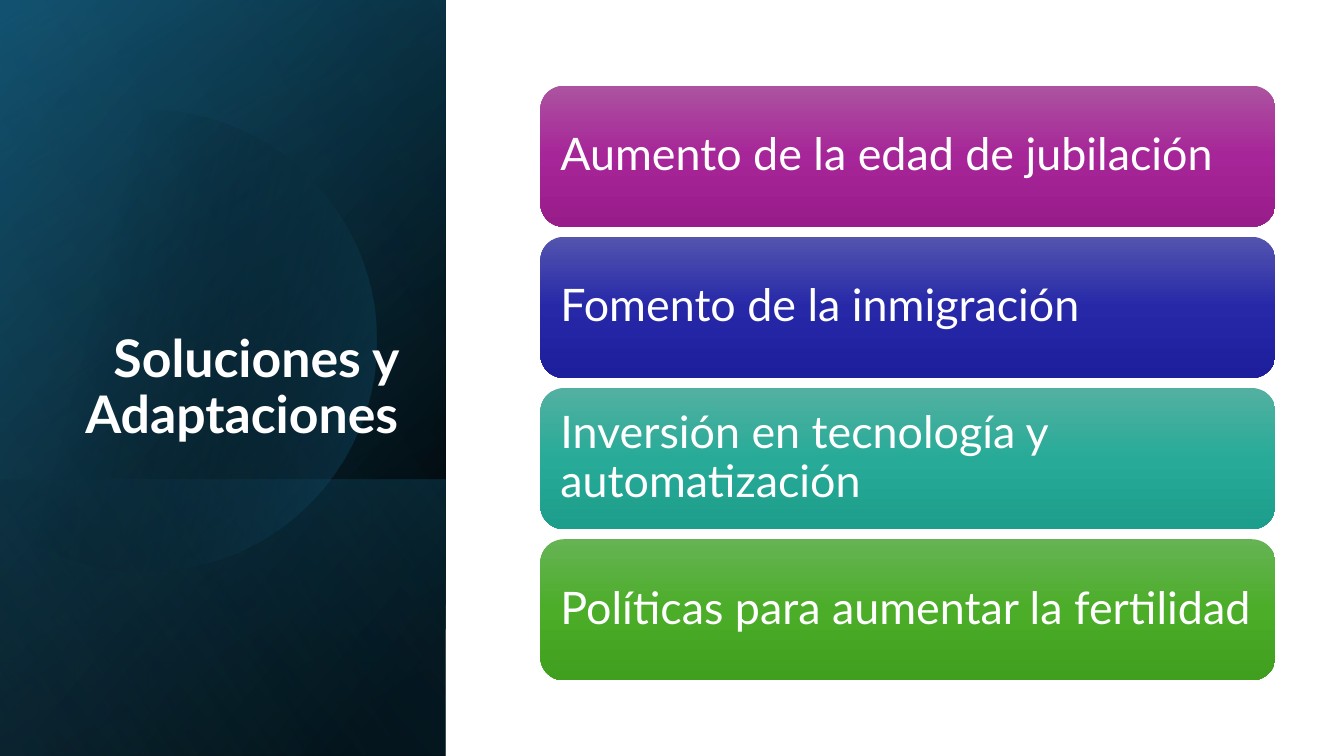
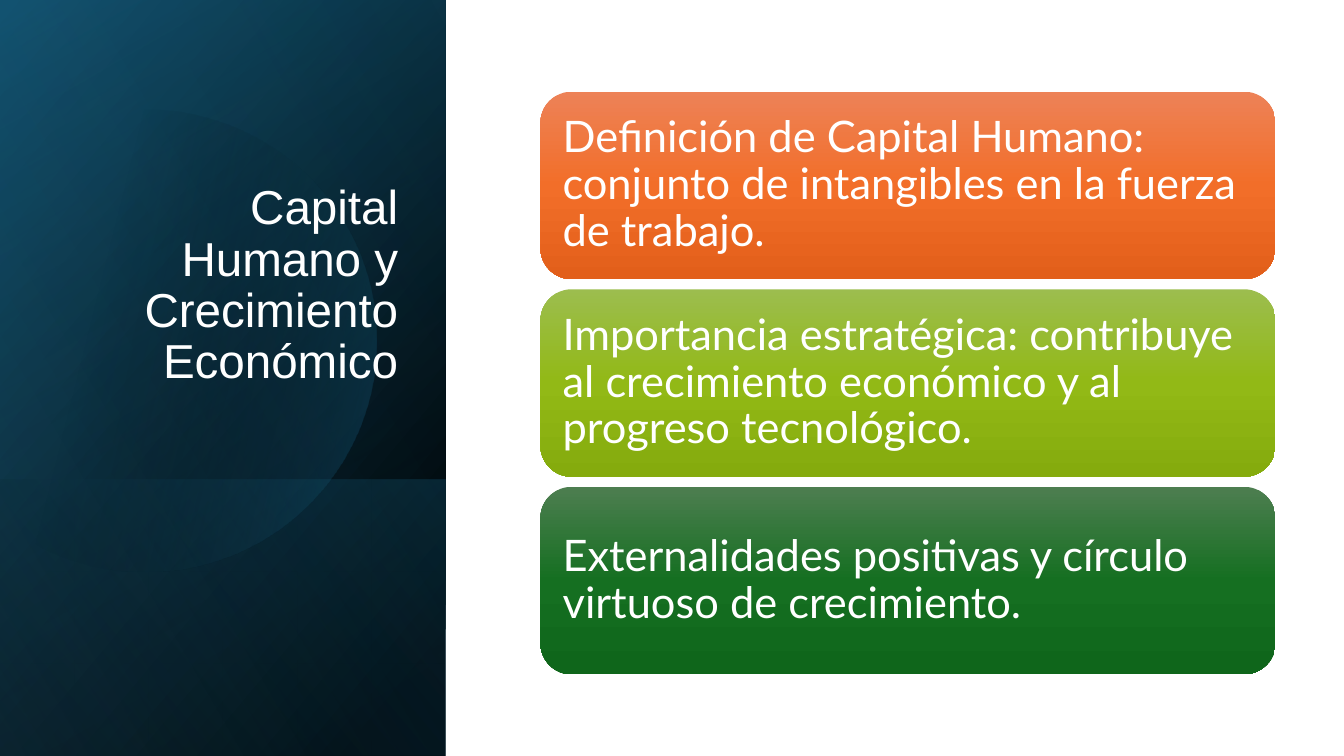
from math import acos, cos, pi, sin

from lxml import etree
from pptx import Presentation
from pptx.dml.color import RGBColor
from pptx.enum.shapes import MSO_SHAPE
from pptx.enum.text import MSO_ANCHOR, MSO_AUTO_SIZE, PP_ALIGN
from pptx.oxml.ns import qn
from pptx.util import Inches, Pt

RECTANGLE, ROUNDED = MSO_SHAPE.RECTANGLE, MSO_SHAPE.ROUNDED_RECTANGLE
LEFT, RIGHT = PP_ALIGN.LEFT, PP_ALIGN.RIGHT
MIDDLE, BOTTOM = MSO_ANCHOR.MIDDLE, MSO_ANCHOR.BOTTOM
NO_AUTOFIT = MSO_AUTO_SIZE.NONE

SLIDE_W, SLIDE_H = 13.33, 7.5
PANEL_W = 4.42
LOWER_H = 2.74
TITLE_BOX = (0.64, 1.84, 3.41, 2.62)
CARD_X, CARD_W, CARD_GAP, CARDS_MIDDLE = 5.36, 7.29, 0.1, 3.8
DISC_X, DISC_Y, DISC_R = 1.44, 3.38, 2.29
WHITE = "FFFFFF"

# Stops are (position %, colour, opacity %)
PANEL_BASE = [(8, "000000", 100), (100, "104862", 100)]
PANEL_SHADE = [(0, "000000", 0), (99, "156082", 46)]
LOWER_SHADE = [(2, "156082", 29), (100, "000000", 30)]
DISC_SHADE = [(29, "000000", 0), (100, "156082", 43)]
PANEL_GLOW = [(0, "000000", 0), (99, "46B1E1", 11)]

SOLUTIONS = [
    ("Aumento de la edad de jubilación", ("AC53A0", "A62598", "991C8B")),
    ("Fomento de la inmigración", ("5354AE", "2628A8", "1D1E9B")),
    ("Inversión en tecnología y automatización", ("53B0A1", "27AB98", "1D9D8B")),
    ("Políticas para aumentar la fertilidad", ("66B354", "4BAD28", "409F1E")),
]
HUMAN_CAPITAL = [
    ("Definición de Capital Humano: conjunto de intangibles en la fuerza de trabajo.",
     ("ED8257", "F26E29", "E25F1A")),
    ("Importancia estratégica: contribuye al crecimiento económico y al progreso tecnológico.",
     ("9CBD4E", "92B916", "85AB0D")),
    ("Externalidades positivas y círculo virtuoso de crecimiento.",
     ("4D7E50", "156F21", "0F661B")),
]


def inches(*lengths):
    return [Inches(length) for length in lengths]


def paint(shape, stops, angle):
    """Fill with a gradient whose angle runs clockwise in the shape's own frame."""
    shape.shadow.inherit = False
    shape.line.fill.background()
    shape.fill.gradient()
    gradient = shape.element.spPr.find(qn("a:gradFill"))
    stop_list = gradient.find(qn("a:gsLst"))
    for old_stop in list(stop_list):
        stop_list.remove(old_stop)
    for position, color, opacity in stops:
        stop = etree.SubElement(stop_list, qn("a:gs"), pos=str(position * 1000))
        tint = etree.SubElement(stop, qn("a:srgbClr"), val=color)
        if opacity < 100:
            etree.SubElement(tint, qn("a:alpha"), val=str(opacity * 1000))
    gradient.find(qn("a:lin")).set("ang", str(angle * 60000))


def write(frame, text, size, font, align, anchor, bold=False):
    frame.text = text
    frame.word_wrap = True
    frame.auto_size = NO_AUTOFIT
    frame.vertical_anchor = anchor
    paragraph = frame.paragraphs[0]
    paragraph.alignment = align
    paragraph.line_spacing = 0.9
    style = paragraph.runs[0].font
    style.name, style.size, style.bold = font, Pt(size), bold
    style.color.rgb = RGBColor.from_string(WHITE)


def add_panel_layer(slide, height, stops, angle):
    """Add a turned, mirrored rectangle covering the panel up from the slide's foot."""
    center_x, center_y = PANEL_W / 2, SLIDE_H - height / 2
    layer = slide.shapes.add_shape(
        RECTANGLE, *inches(center_x - height / 2, center_y - PANEL_W / 2, height, PANEL_W))
    layer.rotation = 90
    layer.element.spPr.get_or_add_xfrm().set("flipH", "1")
    paint(layer, stops, angle)


def add_disc(slide, steps=90):
    """Add a disc cut off at the slide's left edge."""
    reach = acos(-DISC_X / DISC_R)
    turns = [reach * (2 * step / steps - 1) for step in range(steps + 1)]
    points = [inches(DISC_X + DISC_R * cos(turn), DISC_Y + DISC_R * sin(turn))
              for turn in turns]
    builder = slide.shapes.build_freeform(*points[0])
    builder.add_line_segments(points[1:], close=True)
    paint(builder.convert_to_shape(), DISC_SHADE, 14)


def add_panel(slide):
    add_panel_layer(slide, SLIDE_H, PANEL_BASE, 50)
    add_panel_layer(slide, SLIDE_H, PANEL_SHADE, 30)
    add_panel_layer(slide, LOWER_H, LOWER_SHADE, 130)
    add_disc(slide)
    add_panel_layer(slide, SLIDE_H, PANEL_GLOW, 120)


def set_title(slide, text, size, font, bold, foot):
    title = slide.shapes.title
    title.left, title.top, title.width, title.height = inches(*TITLE_BOX)
    write(title.text_frame, text, size, font, RIGHT, BOTTOM, bold)
    title.text_frame.margin_bottom = Inches(foot)
    title.element.getparent().append(title.element)  # in front of the panel


def add_cards(slide, cards, height, size):
    pitch = height + CARD_GAP
    top = CARDS_MIDDLE - (len(cards) * pitch - CARD_GAP) / 2
    for row, (text, colors) in enumerate(cards):
        card = slide.shapes.add_shape(
            ROUNDED, *inches(CARD_X, top + row * pitch, CARD_W, height))
        paint(card, [(50 * i, color, 100) for i, color in enumerate(colors)], 90)
        frame = card.text_frame
        write(frame, text, size, "Lato", LEFT, MIDDLE)
        frame.margin_left = frame.margin_right = Inches(0.13)
        frame.margin_top = frame.margin_bottom = Inches(0.13)


def add_card_slide(deck, title, title_size, title_font, cards, card_height, card_size,
                   bold=False, title_foot=0.05):
    slide = deck.slides.add_slide(deck.slide_layouts[5])
    add_panel(slide)
    set_title(slide, title, title_size, title_font, bold, title_foot)
    add_cards(slide, cards, card_height, card_size)


def main():
    deck = Presentation()
    deck.slide_width, deck.slide_height = inches(SLIDE_W, SLIDE_H)
    add_card_slide(deck, "Soluciones y Adaptaciones", 37, "Lato",
                   SOLUTIONS, 1.4, 32, bold=True)
    add_card_slide(deck, "Capital Humano y Crecimiento Económico", 34, "Arial",
                   HUMAN_CAPITAL, 1.86, 31, title_foot=0.6)
    deck.save("out.pptx")


if __name__ == "__main__":
    main()
